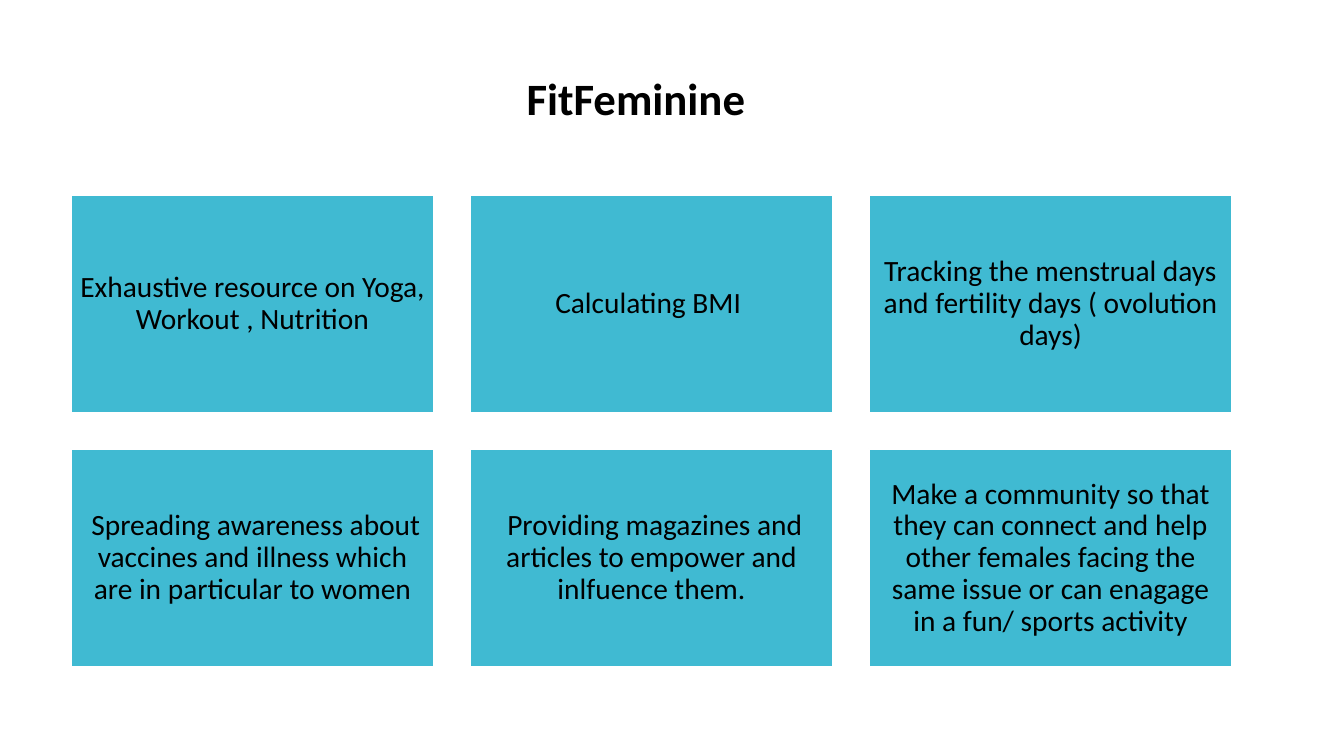
import pptx
import pptx.util
import pptx.dml.color
import pptx.enum.shapes
import pptx.enum.text

# Content
TITLE = "FitFeminine"
CARDS = [
    "Exhaustive resource on Yoga, Workout , Nutrition",
    "Calculating BMI ",
    "Tracking the menstrual days and fertility days ( ovolution days)",
    " Spreading awareness about vaccines and illness which are in particular to women",
    " Providing magazines and articles to empower and inlfuence them.",
    "Make a community so that they can connect and help other females facing "
    "the same issue or can enagage in a fun/ sports activity",
]

# Style and layout, in px
BLUE = pptx.dml.color.RGBColor(0x40, 0xBA, 0xD2)
WHITE = pptx.dml.color.RGBColor(0xFF, 0xFF, 0xFF)
BLACK = pptx.dml.color.RGBColor(0, 0, 0)
FONT = "Calibri"
SCALE = 914400 / 100.8
COLS = 3
LEFT, TOP = 71, 195
WIDE, HIGH = 363, 218
GAP = 36


def px(num):
    return pptx.util.Emu(round(num * SCALE))


def write(shape, text, size, bold=False, space=1.0, pad=9):
    frame = shape.text_frame
    frame.word_wrap = True
    frame.auto_size = pptx.enum.text.MSO_AUTO_SIZE.NONE
    frame.vertical_anchor = pptx.enum.text.MSO_ANCHOR.MIDDLE
    frame.margin_left = frame.margin_right = px(pad)
    frame.margin_top = frame.margin_bottom = px(pad)
    para = frame.paragraphs[0]
    para.alignment = pptx.enum.text.PP_ALIGN.CENTER
    para.line_spacing = space
    run = para.add_run()
    run.text = text
    run.font.name = FONT
    run.font.size = pptx.util.Pt(size)
    run.font.bold = bold
    run.font.color.rgb = BLACK


deck = pptx.Presentation()
deck.slide_width, deck.slide_height = px(1344), px(756)
slide = deck.slides.add_slide(deck.slide_layouts[5])

# Title
title = slide.shapes.title
title.left, title.top = px(485), px(65)
title.width, title.height = px(302), px(65)
write(title, TITLE, 32, bold=True, pad=5)

# Grid of cards
for i, text in enumerate(CARDS):
    row, col = divmod(i, COLS)
    card = slide.shapes.add_shape(
        pptx.enum.shapes.MSO_SHAPE.RECTANGLE,
        px(LEFT + col * (WIDE + GAP)), px(TOP + row * (HIGH + GAP)),
        px(WIDE), px(HIGH))
    card.shadow.inherit = False
    card.fill.solid()
    card.fill.fore_color.rgb = BLUE
    card.line.color.rgb = WHITE
    card.line.width = pptx.util.Pt(0.85)
    write(card, text, 21, space=0.9)

deck.save("out.pptx")
